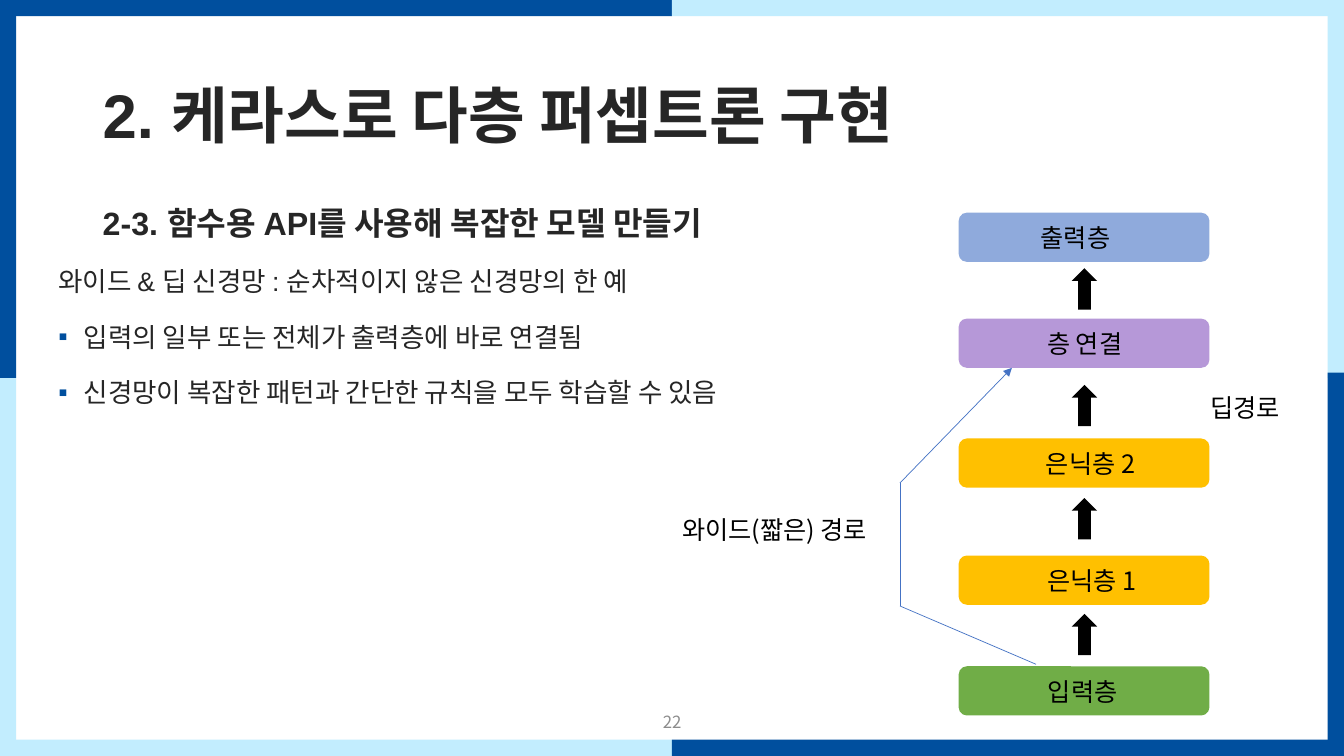
from lxml import etree
from pptx import Presentation
from pptx.dml.color import RGBColor
from pptx.enum.shapes import MSO_CONNECTOR, MSO_SHAPE
from pptx.enum.text import MSO_ANCHOR, MSO_AUTO_SIZE, PP_ALIGN
from pptx.oxml.ns import qn
from pptx.util import Cm, Pt

RECT, ROUNDED, UP_ARROW = MSO_SHAPE.RECTANGLE, MSO_SHAPE.ROUNDED_RECTANGLE, MSO_SHAPE.UP_ARROW
STRAIGHT = MSO_CONNECTOR.STRAIGHT
TOP, MIDDLE = MSO_ANCHOR.TOP, MSO_ANCHOR.MIDDLE
LEFT, CENTER = PP_ALIGN.LEFT, PP_ALIGN.CENTER
GROW, FIXED = MSO_AUTO_SIZE.SHAPE_TO_FIT_TEXT, MSO_AUTO_SIZE.NONE

NAVY, SKY, INK, BLACK, GRAY, BLUE = "004F9E", "C2EDFE", "262626", "000000", "8C8C8C", "4472C4"
AMBER = "FFC000"
HEADING_FONT, LABEL_FONT = "Arial", "Noto Sans CJK KR"


def color(code):
    return RGBColor.from_string(code)


class SlideBuilder:
    def __init__(self, slide):
        self.shapes = slide.shapes

    def shape(self, kind, x, y, w, h, fill):
        shape = self.shapes.add_shape(kind, Cm(x), Cm(y), Cm(w), Cm(h))
        shape.shadow.inherit = False
        shape.fill.solid()
        shape.fill.fore_color.rgb = color(fill)
        shape.line.fill.background()

    def frame(self, x, y, w, h, anchor=TOP, fit=FIXED):
        frame = self.shapes.add_textbox(Cm(x), Cm(y), Cm(w), Cm(h)).text_frame
        frame.word_wrap = True
        frame.auto_size = fit
        frame.vertical_anchor = anchor
        return frame

    def run(self, paragraph, text, size, font, ink, bold=False):
        run = paragraph.add_run()
        run.text = text
        run.font.size = Pt(size)
        run.font.name = font
        run.font.bold = bold
        run.font.color.rgb = color(ink)

    def text(self, x, y, w, h, text, size=18, font=LABEL_FONT, ink=BLACK,
             bold=False, align=LEFT, anchor=TOP, fit=GROW):
        paragraph = self.frame(x, y, w, h, anchor, fit).paragraphs[0]
        paragraph.alignment = align
        self.run(paragraph, text, size, font, ink, bold)

    def indent(self, paragraph, margin, first=0, bullet=None):
        props = paragraph._p.get_or_add_pPr()
        props.set("marL", str(Cm(margin)))
        props.set("indent", str(Cm(first)))
        if bullet:
            bullet_color = etree.SubElement(props, qn("a:buClr"))
            etree.SubElement(bullet_color, qn("a:srgbClr"), val=NAVY)
            etree.SubElement(props, qn("a:buFont"), typeface=HEADING_FONT)
            etree.SubElement(props, qn("a:buChar"), char=bullet)

    def line(self, start, end, arrow=False):
        line = self.shapes.add_connector(STRAIGHT, *map(Cm, start + end))
        line.line.color.rgb = color(BLUE)
        line.line.width = Pt(0.5)
        if arrow:
            etree.SubElement(line.line._get_or_add_ln(), qn("a:tailEnd"), type="triangle")
        etree.SubElement(line._element.spPr, qn("a:effectLst"))


WIDTH, HEIGHT, EDGE = 33.87, 19.05, 0.41
deck = Presentation()
deck.slide_width, deck.slide_height = Cm(WIDTH), Cm(HEIGHT)
page = SlideBuilder(deck.slides.add_slide(deck.slide_layouts[6]))

# Two-tone border
half_w, half_h = WIDTH / 2, HEIGHT / 2
for y, left_fill, right_fill in ((0, NAVY, SKY), (HEIGHT - EDGE, SKY, NAVY)):
    page.shape(RECT, 0, y, half_w, EDGE, left_fill)
    page.shape(RECT, half_w, y, half_w, EDGE, right_fill)
for x, middle, upper_fill, lower_fill in ((0, half_h, NAVY, SKY),
                                          (WIDTH - EDGE, 9.39, SKY, NAVY)):
    page.shape(RECT, x, 0, EDGE, half_h, upper_fill)
    page.shape(RECT, x, middle, EDGE, half_h, lower_fill)

# Body text
body = page.frame(1.22, 4.7, 31.29, 12.98)
for number, (text, size, margin, first, bullet) in enumerate((
        ("2-3. 함수용 API를 사용해 복잡한 모델 만들기", 23, 1.12, 0, None),
        ("와이드 & 딥 신경망 : 순차적이지 않은 신경망의 한 예", 19, 0, 0, None),
        ("입력의 일부 또는 전체가 출력층에 바로 연결됨", 19, 0.64, -0.64, "▪"),
        ("신경망이 복잡한 패턴과 간단한 규칙을 모두 학습할 수 있음", 19, 0.64, -0.64, "▪"))):
    paragraph = body.add_paragraph() if number else body.paragraphs[0]
    paragraph.line_spacing = 1.3
    paragraph.space_before = Pt(10)
    page.indent(paragraph, margin, first, bullet)
    page.run(paragraph, text, size, HEADING_FONT, INK, bold=number == 0)

# Title and page number
page.text(2.34, 1.02, 29.21, 3.68, "2. 케라스로 다층 퍼셉트론 구현", 44, HEADING_FONT, INK,
          bold=True, anchor=MIDDLE, fit=FIXED)
page.text(13.13, 17.68, 7.62, 1.02, "22", 12, ink=GRAY, align=CENTER, anchor=MIDDLE, fit=FIXED)

# Network layers, output to input
for text, y, label_x, fill in (("출력층", 5.36, 25.98, "8FAADC"),
                               ("층 연결", 8.03, 26.14, "B698D8"),
                               ("은닉층 2", 11.05, 26.11, AMBER),
                               ("은닉층 1", 14.0, 26.14, AMBER),
                               ("입력층", 16.79, 26.16, "70AD47")):
    page.shape(ROUNDED, 24.16, y, 6.32, 1.24, fill)
    page.text(label_x, y + 0.13, 5.21, 1.02, text)

# Deep path
for y in (6.76, 9.7, 12.55, 15.47):
    page.shape(UP_ARROW, 27.01, y, 0.64, 1.04, BLACK)
page.text(30.25, 9.75, 2.57, 1.02, "딥경로")

# Wide path
upper_bend, lower_bend = (22.68, 12.17), (22.68, 15.27)
page.line(upper_bend, (25.5, 9.27), arrow=True)
page.line(upper_bend, lower_bend)
page.line(lower_bend, (26.11, 16.74))
page.text(16.94, 12.83, 5.74, 1.02, "와이드(짧은) 경로")

deck.save("out.pptx")
